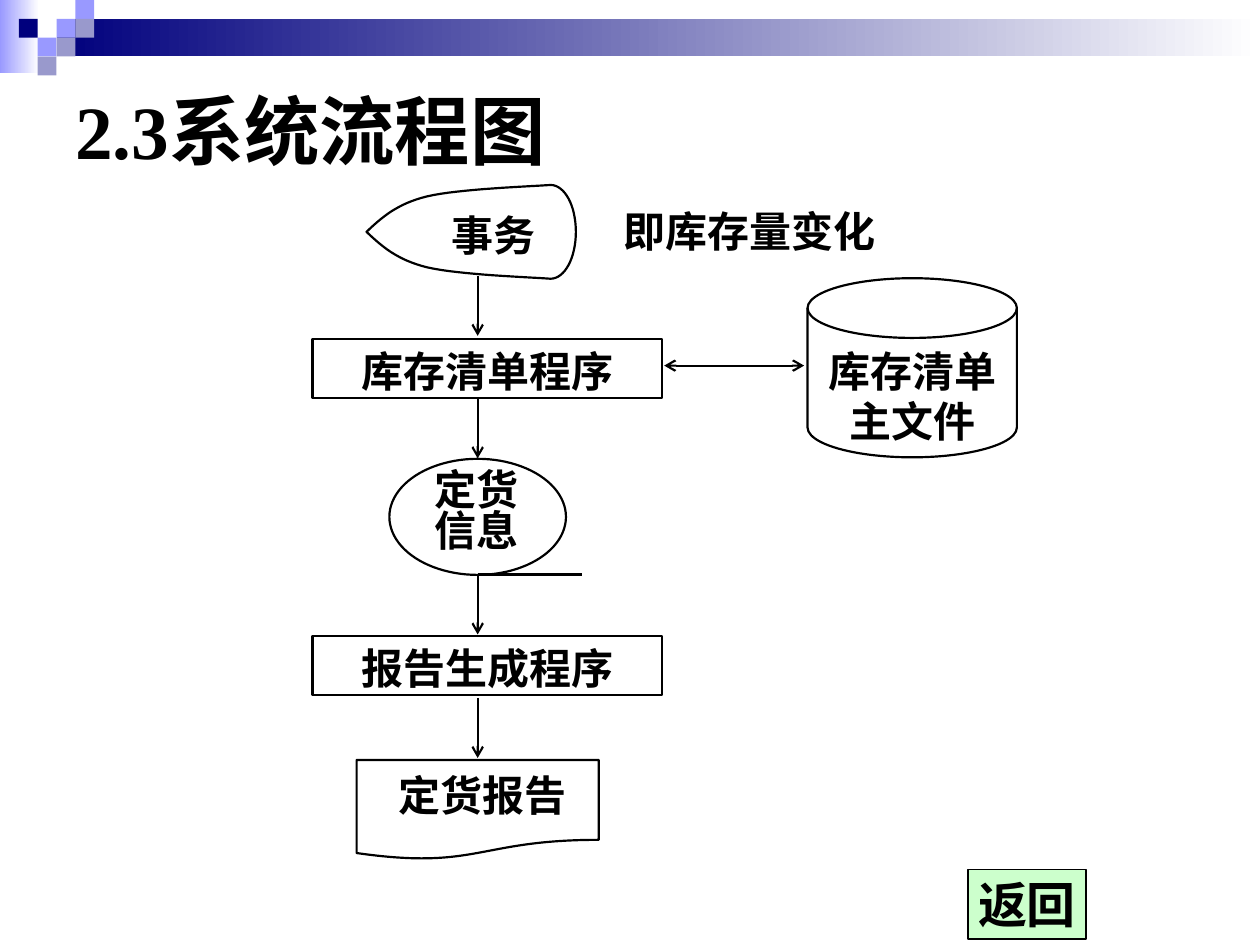
from lxml import etree
from pptx import Presentation
from pptx.dml.color import RGBColor
from pptx.enum.shapes import MSO_CONNECTOR, MSO_SHAPE
from pptx.enum.text import MSO_ANCHOR, MSO_AUTO_SIZE, PP_ALIGN
from pptx.oxml.ns import qn
from pptx.util import Cm, Pt

RECTANGLE, ELLIPSE = MSO_SHAPE.RECTANGLE, MSO_SHAPE.OVAL
DISK, DOCUMENT = MSO_SHAPE.FLOWCHART_MAGNETIC_DISK, MSO_SHAPE.FLOWCHART_DOCUMENT
STRAIGHT = MSO_CONNECTOR.STRAIGHT
LEFT, CENTER, JUSTIFY = PP_ALIGN.LEFT, PP_ALIGN.CENTER, PP_ALIGN.JUSTIFY
TOP, MIDDLE = MSO_ANCHOR.TOP, MSO_ANCHOR.MIDDLE
NO_AUTOFIT = MSO_AUTO_SIZE.NONE

COLORS = {"ink": "000000", "paper": "FFFFFF", "navy": "00007D",
          "violet": "9999FF", "mauve": "9999CC", "mint": "CCFFCC"}
FONT = {"name": "Times New Roman", "bold": True}
LINE_WIDTH = 1.25


def color(name):
    """Return the named colour."""
    return RGBColor.from_string(COLORS[name])


def lengths(*values):
    """Turn centimetres into lengths."""
    return [Cm(value) for value in values]


def set_text(shape, lines, size=24, align=CENTER, anchor=TOP, wrap=True,
             side=0.25, bottom=0.18, spacing=None):
    """Write the lines into a shape and format them."""
    frame = shape.text_frame
    frame.text = "\n".join(lines)
    frame_format = {"auto_size": NO_AUTOFIT, "word_wrap": wrap,
                    "vertical_anchor": anchor,
                    "margin_left": Cm(side), "margin_right": Cm(side),
                    "margin_top": Cm(0.13), "margin_bottom": Cm(bottom)}
    for key, value in frame_format.items():
        setattr(frame, key, value)
    for paragraph in frame.paragraphs:
        paragraph.alignment = align
        paragraph.line_spacing = spacing
        for key, value in {**FONT, "size": Pt(size)}.items():
            setattr(paragraph.font, key, value)
        paragraph.font.color.rgb = color("ink")


def style_shape(shape, fill=None, line=None):
    """Give a shape its fill and outline, without a shadow."""
    shape.shadow.inherit = False
    if fill:
        shape.fill.solid()
        shape.fill.fore_color.rgb = color(fill)
    else:
        shape.fill.background()
    if line:
        shape.line.color.rgb = color("ink")
        shape.line.width = Pt(line)
    else:
        shape.line.fill.background()


def add_box(slide, kind, box, fill=None, line=LINE_WIDTH):
    """Add a preset shape in a box given in centimetres."""
    shape = slide.shapes.add_shape(kind, *lengths(*box))
    style_shape(shape, fill, line)
    return shape


def add_label(slide, box, lines, **text_format):
    """Add a text box in a box given in centimetres."""
    set_text(slide.shapes.add_textbox(*lengths(*box)), lines, **text_format)


def add_line(slide, ends, arrows=()):
    """Add a straight connector with arrowheads at the listed ends."""
    connector = slide.shapes.add_connector(STRAIGHT, *lengths(*ends))
    connector.line.color.rgb = color("ink")
    connector.line.width = Pt(LINE_WIDTH)
    properties = connector._element.spPr
    outline = properties.find(qn("a:ln"))
    for end in arrows:
        etree.SubElement(outline, qn(f"a:{end}")).set("type", "arrow")
    etree.SubElement(properties, qn("a:effectLst"))


def curve_points(start, first, second, end, steps=16):
    """Return the points of a cubic curve after its start."""
    points = []
    for step in range(1, steps + 1):
        t = step / steps
        weights = ((1 - t) ** 3, 3 * t * (1 - t) ** 2, 3 * t * t * (1 - t), t ** 3)
        points.append(tuple(sum(weight * value for weight, value in zip(weights, axis))
                            for axis in zip(start, first, second, end)))
    return points


def add_display(slide, left, top, height):
    """Draw the display symbol, its lower half mirroring the upper one."""
    middle = height / 2
    upper = [(0, middle)]
    for curve in (((0.3, 0.66), (0.61, 0.38), (1.22, 0.23)),
                  ((1.85, 0.08), (3.3, 0.03), (3.71, 0)),
                  ((3.99, 0), (4.22, 0.41), (4.22, middle))):
        upper += curve_points(upper[-1], *curve)
    outline = upper + [(x, height - y) for x, y in reversed(upper[1:-1])]
    points = [lengths(left + x, top + y) for x, y in outline]
    builder = slide.shapes.build_freeform(*points[0])
    builder.add_line_segments(points[1:], close=True)
    style_shape(builder.convert_to_shape(), line=LINE_WIDTH)


def add_header(slide, left, top, width):
    """Draw the gradient band and the mosaic of squares."""
    cell = 0.38
    for start, above, wide, high, hue in ((0, 0, 0.79, 1.47, "violet"),
                                          (3 * cell, cell, width - 3 * cell, 2 * cell, "navy")):
        band = add_box(slide, RECTANGLE, (left + start, top + above, wide, high), line=None)
        band.fill.gradient()
        band.fill.gradient_angle = 0
        for stop, name in zip(band.fill.gradient_stops, (hue, "paper")):
            stop.color.rgb = color(name)
    for column, row, name in ((3, 1, "violet"), (4, 0, "violet"), (4, 1, "mauve"),
                              (2, 2, "violet"), (1, 1, "navy"), (3, 2, "mauve"),
                              (2, 3, "mauve")):
        add_box(slide, RECTANGLE, (left + column * cell, top + row * cell, cell, cell),
                name, None)


def add_title(slide, box, text):
    """Place and format the title placeholder."""
    title = slide.shapes.title
    for key, value in zip(("left", "top", "width", "height"), lengths(*box)):
        setattr(title, key, value)
    set_text(title, [text], size=43, align=LEFT, anchor=MIDDLE, bottom=0.13)


def add_flowchart(slide, left, top):
    """Draw the stock and ordering flow from its top left corner."""
    def place(x, y, *size):
        return (left + x, top + y, *size)

    axis = 3.33
    add_display(slide, left + 1.09, top, 1.89)
    add_label(slide, place(1.88, 0.36, 3.53, 1.19), ["事务"])
    add_label(slide, place(6.02, 0.28, 7.04, 1.19), ["即库存量变化"], align=JUSTIFY)

    for y, name in ((3.1, "库存清单程序"), (9.1, "报告生成程序")):
        process = add_box(slide, RECTANGLE, place(0, y, 7.04, 1.19), "paper")
        set_text(process, [name])

    add_box(slide, DISK, place(9.98, 1.88, 4.22, 3.61))
    add_label(slide, place(9.98, 3.1, 4.22, 2.01), ["库存清单主文件"], side=0.1)
    add_box(slide, ELLIPSE, place(1.55, 5.52, 3.56, 2.34))
    add_label(slide, place(1.55, 5.69, 3.53, 2.01), ["定货", "信息"], spacing=0.8)
    add_box(slide, DOCUMENT, place(0.89, 11.59, 4.88, 2.01))
    add_label(slide, place(1.32, 11.66, 4.22, 1.19), ["定货报告"], side=0.05)

    for y in (1.83, 4.3, 7.85, 10.34):
        add_line(slide, place(axis, y) + place(axis, y + 1.21), ["tailEnd"])
    add_line(slide, place(axis, 7.85) + place(5.43, 7.85))
    add_line(slide, place(7.09, 3.64) + place(9.91, 3.64), ["headEnd", "tailEnd"])


def add_return_button(slide, box):
    """Draw the return button."""
    button = add_box(slide, RECTANGLE, box, "mint", 1)
    set_text(button, ["返回"], size=28, anchor=MIDDLE, wrap=False, bottom=0.13)


def main():
    """Build and save the presentation."""
    presentation = Presentation()
    presentation.slide_width, presentation.slide_height = lengths(25.4, 19.05)
    slide = presentation.slides.add_slide(presentation.slide_layouts[5])
    add_header(slide, 0, 0, 25.4)
    add_title(slide, (1.27, 1.27, 22.86, 2.67), "2.3系统流程图")
    add_flowchart(slide, 6.3, 3.73)
    add_return_button(slide, (19.51, 17.53, 2.39, 1.4))
    presentation.save("out.pptx")


if __name__ == "__main__":
    main()
